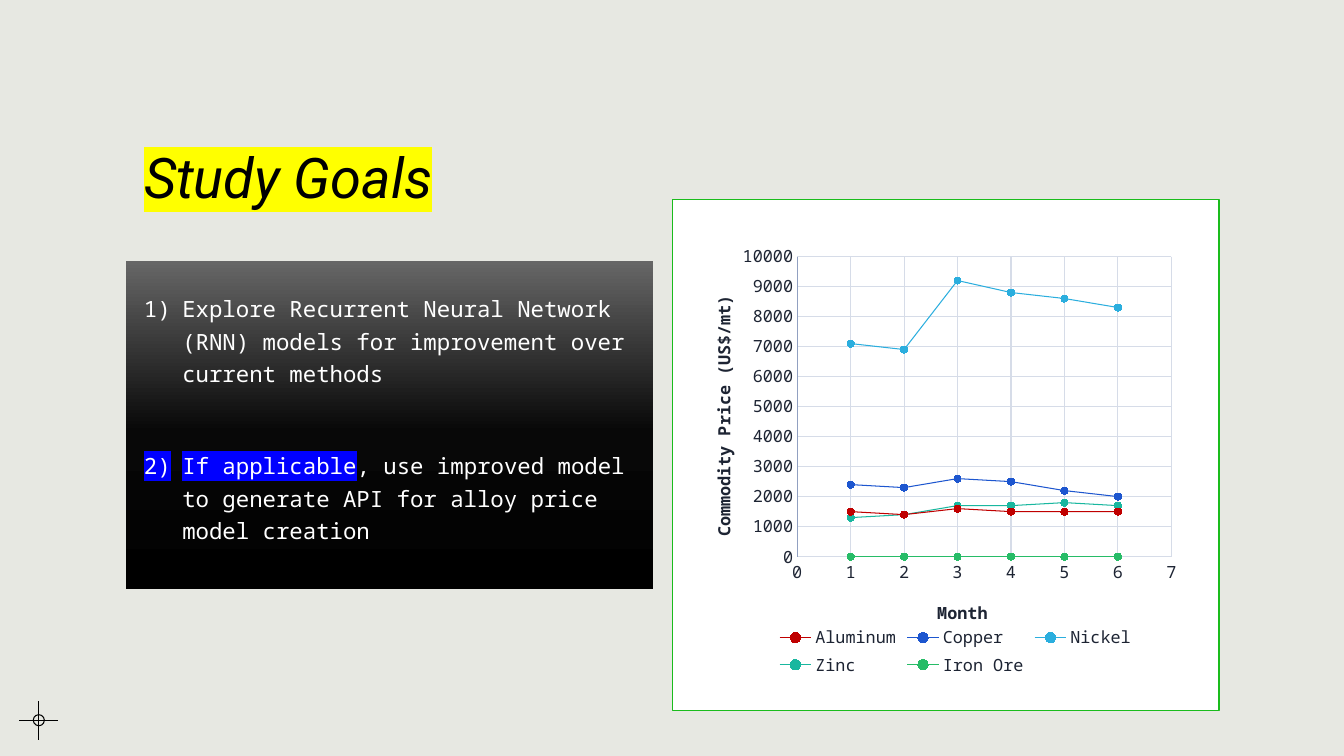
import copy
from dataclasses import dataclass

import pptx
import pptx.chart.data
import pptx.dml.color
import pptx.enum.chart
import pptx.enum.shapes
import pptx.enum.text
import pptx.oxml
import pptx.oxml.ns
import pptx.util
from pptx.util import Inches, Pt


@dataclass(frozen=True)
class Theme:
    background: str = "E7E8E2"
    black: str = "000000"
    white: str = "FFFFFF"
    title_highlight: str = "FFFF00"
    goal_highlight: str = "0000FF"
    frame: str = "1ABC1C"
    chart_text: str = "1D2433"
    grid: str = "D6DCE8"
    value_axis: str = "91A0C1"
    panel_stops: tuple = ((0, "000000"), (0.48, "080808"), (1, "666666"))
    title_font: str = "Roboto"
    body_font: str = "Noto Sans Mono"
    title_size: int = 40
    body_size: int = 16
    chart_size: int = 12
    thin: float = 0.75


THEME = Theme()
GOALS = (
    (("Explore Recurrent Neural Network (RNN) models for improvement over current methods", None),),
    (("If applicable", THEME.goal_highlight),
     (", use improved model to generate API for alloy price model creation", None)),
)
MONTHS = range(1, 7)
# Name, line colour, marker colour, prices by month
COMMODITIES = (
    ("Aluminum", "C00000", "C00000", (1500, 1400, 1600, 1500, 1500, 1500)),
    ("Copper", "1D56CF", "1453D8", (2400, 2300, 2600, 2500, 2200, 2000)),
    ("Nickel", "2BAEDE", "22B2E7", (7100, 6900, 9200, 8800, 8600, 8300)),
    ("Zinc", "19B79F", "11BFA5", (1300, 1400, 1700, 1700, 1800, 1700)),
    ("Iron Ore", "27BC67", "20C366", (0, 0, 0, 0, 0, 0)),
)


def rgb(value):
    return pptx.dml.color.RGBColor.from_string(value)


def element(tag, **attributes):
    node = pptx.oxml.parse_xml(f"<{tag} {pptx.oxml.ns.nsdecls(tag.split(':')[0])}/>")
    for name, value in attributes.items():
        node.set(name, str(value))
    return node


def set_line(line, color, width=THEME.thin):
    line.color.rgb = rgb(color)
    line.width = Pt(width)


def set_font(font, name, size, color, bold=False):
    font.name, font.size, font.bold = name, Pt(size), bold
    font.color.rgb = rgb(color)


def add_run(paragraph, text, font_name, size, color, highlight=None):
    run = paragraph.add_run()
    run.text = text
    set_font(run.font, font_name, size, color)
    if highlight:
        mark = element("a:highlight")
        mark.append(element("a:srgbClr", val=highlight))
        run.font._element.find(pptx.oxml.ns.qn("a:solidFill")).addnext(mark)
    return run


def add_shape(slide, kind, box):
    shape = slide.shapes.add_shape(kind, *map(Inches, box))
    shape.shadow.inherit = False
    return shape


def add_text_frame(slide, box):
    frame = slide.shapes.add_textbox(*map(Inches, box)).text_frame
    frame.word_wrap = True
    return frame


def add_crosshair(slide, box):
    left, top, width, height = box
    middle_x, middle_y = left + width / 2, top + height / 2
    for ends in ((left, middle_y, left + width, middle_y),
                 (middle_x, top + height, middle_x, top)):
        connector = slide.shapes.add_connector(
            pptx.enum.shapes.MSO_CONNECTOR.STRAIGHT, *map(Inches, ends))
        set_line(connector.line, THEME.black)
        connector._element.spPr.append(element("a:effectLst"))
    size = 0.11
    ring = add_shape(slide, pptx.enum.shapes.MSO_SHAPE.OVAL,
                     (middle_x - size / 2, middle_y - size / 2, size, size))
    ring.fill.background()
    set_line(ring.line, THEME.black)


def add_title(slide, box):
    frame = add_text_frame(slide, box)
    frame.vertical_anchor = pptx.enum.text.MSO_ANCHOR.BOTTOM
    paragraph = frame.paragraphs[0]
    paragraph.line_spacing = 1.2
    run = add_run(paragraph, "Study Goals", THEME.title_font, THEME.title_size,
                  THEME.black, THEME.title_highlight)
    run.font.italic = True


def add_goals(slide, box):
    # Gradient panel
    panel = add_shape(slide, pptx.enum.shapes.MSO_SHAPE.RECTANGLE, box)
    panel.line.fill.background()
    panel.fill.gradient()
    panel.fill.gradient_angle = 90
    first_stop = next(panel._element.iter(pptx.oxml.ns.qn("a:gs")))
    first_stop.addnext(copy.deepcopy(first_stop))
    for stop, (position, color) in zip(panel.fill.gradient_stops, THEME.panel_stops):
        stop.position = position
        stop.color.rgb = rgb(color)

    # Numbered goals
    left, top, width, height = box
    frame = add_text_frame(slide, (left + 0.08, top + 0.24, width - 0.09, height - 0.24))
    for index, goal in enumerate(GOALS):
        paragraph = frame.add_paragraph() if index else frame.paragraphs[0]
        properties = paragraph._p.get_or_add_pPr()
        properties.set("marL", str(Inches(0.38)))
        properties.set("indent", str(-Inches(0.38)))
        properties.append(element("a:buAutoNum", type="arabicParenR"))
        paragraph.line_spacing = 1.2
        if index:
            paragraph.space_before = Pt(43)
        for text, highlight in goal:
            add_run(paragraph, text, THEME.body_font, THEME.body_size, THEME.white, highlight)


def add_layout(parent, target, **fractions):
    layout = element("c:layout")
    manual = element("c:manualLayout")
    layout.append(manual)
    if target:
        manual.append(element("c:layoutTarget", val=target))
    for name in ("xMode", "yMode"):
        manual.append(element(f"c:{name}", val="edge"))
    for name, value in fractions.items():
        manual.append(element(f"c:{name}", val=value))
    for old in parent.findall(pptx.oxml.ns.qn("c:layout")):
        parent.remove(old)
    text = parent.find(pptx.oxml.ns.qn("c:tx"))
    if text is None:
        parent.insert(0, layout)
    else:
        text.addnext(layout)


def style_axis(axis, title, maximum, step, line_color, x, y):
    axis.minimum_scale, axis.maximum_scale, axis.major_unit = 0, maximum, step
    axis.major_tick_mark = axis.minor_tick_mark = pptx.enum.chart.XL_TICK_MARK.NONE
    axis.has_major_gridlines = True
    set_line(axis.major_gridlines.format.line, THEME.grid)
    set_line(axis.format.line, line_color)
    set_font(axis.tick_labels.font, THEME.body_font, THEME.chart_size, THEME.chart_text)
    run = add_run(axis.axis_title.text_frame.paragraphs[0], title,
                  THEME.body_font, THEME.chart_size, THEME.chart_text)
    run.font.bold = True
    add_layout(axis.axis_title._element, None, x=x, y=y)


def add_price_chart(slide, box):
    # Framed card
    card = add_shape(slide, pptx.enum.shapes.MSO_SHAPE.RECTANGLE, box)
    card.fill.solid()
    card.fill.fore_color.rgb = rgb(THEME.white)
    set_line(card.line, THEME.frame, 1)

    # Chart data
    data = pptx.chart.data.XyChartData()
    for name, _, _, prices in COMMODITIES:
        series = data.add_series(name)
        for month, price in zip(MONTHS, prices):
            series.add_data_point(month, price)
    left, top, width, height = box
    area = (left + 0.19, top + 0.39, width - 0.19, height - 0.69)
    chart = slide.shapes.add_chart(pptx.enum.chart.XL_CHART_TYPE.XY_SCATTER_LINES,
                                   *map(Inches, area), data).chart
    chart.has_title = False
    set_font(chart.font, THEME.body_font, THEME.chart_size, THEME.chart_text)

    # Axes, plot area and legend
    style_axis(chart.category_axis, "Month", 7, 1, THEME.grid, 0.46, 0.81)
    style_axis(chart.value_axis, "Commodity Price (US$/mt)", 10000, 1000,
               THEME.value_axis, 0.03, 0.12)
    plot_area = chart._chartSpace.chart.plotArea
    add_layout(plot_area, "inner", x=0.2, y=0.04, w=0.71, h=0.68)
    chart.has_legend = True
    chart.legend.position = pptx.enum.chart.XL_LEGEND_POSITION.BOTTOM
    chart.legend.include_in_layout = False
    set_font(chart.legend.font, THEME.body_font, THEME.chart_size, THEME.chart_text)

    # Series
    chart.plots[0].vary_by_categories = False
    for series, (_, line_color, marker_color, _) in zip(chart.plots[0].series, COMMODITIES):
        series.smooth = False
        set_line(series.format.line, line_color)
        series.marker.style = pptx.enum.chart.XL_MARKER_STYLE.CIRCLE
        series.marker.size = 5
        series.marker.format.fill.solid()
        series.marker.format.fill.fore_color.rgb = rgb(marker_color)
        set_line(series.marker.format.line, line_color)


def main():
    presentation = pptx.Presentation()
    presentation.slide_width, presentation.slide_height = Inches(13.33), Inches(7.5)
    slide = presentation.slides.add_slide(presentation.slide_layouts[6])
    slide.background.fill.solid()
    slide.background.fill.fore_color.rgb = rgb(THEME.background)
    add_crosshair(slide, (0.19, 6.95, 0.39, 0.39))
    add_title(slide, (1.33, 0.4, 10.38, 1.73))
    add_goals(slide, (1.25, 2.59, 5.23, 3.25))
    add_price_chart(slide, (6.67, 1.98, 5.42, 5.07))
    presentation.save("out.pptx")


if __name__ == "__main__":
    main()
